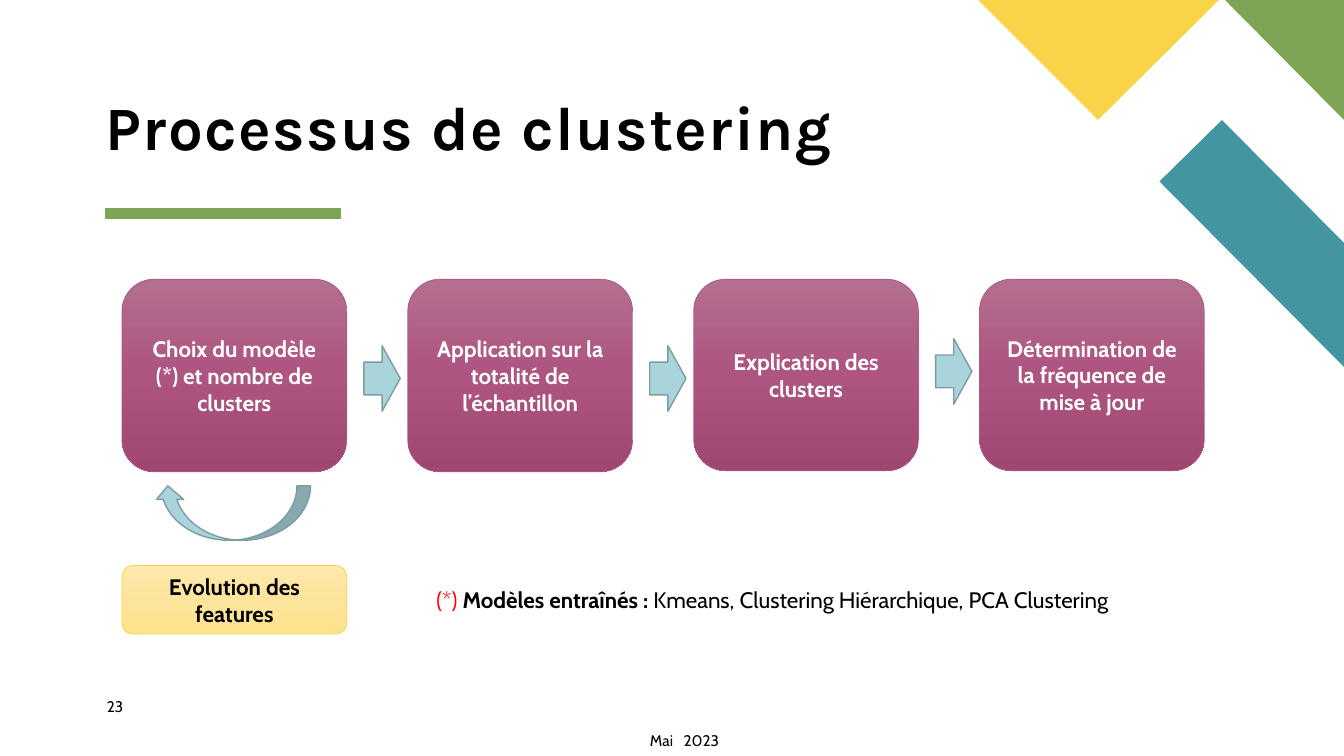
import copy

import pptx
import pptx.dml.color
import pptx.enum.shapes
import pptx.enum.text
import pptx.oxml
import pptx.oxml.ns
import pptx.util

Inches = pptx.util.Inches
Pt = pptx.util.Pt
Shapes = pptx.enum.shapes.MSO_SHAPE
Anchor = pptx.enum.text.MSO_ANCHOR
Align = pptx.enum.text.PP_ALIGN

PURPLE = {"stops": ["B36F8F", "AE5481", "9F4673"], "line": "AA5881", "text": "FFFFFF"}
YELLOW = {"stops": ["FEE9AC", "FDE49D", "FFE28B"], "line": "F9D448", "text": "000000"}
STEPS = [
    ("Choix du modèle (*) et nombre de clusters", 1.91),
    ("Application sur la totalité de l’échantillon", 1.91),
    ("Explication des clusters", 1.9),
    ("Détermination de la fréquence de mise à jour", 1.9),
]
ARROW_DROPS = [0.66, 0.66, 0.59]
STEP_WIDTH = 2.23
STEP_PITCH = 2.835
CORNER_SHAPES = [
    ("4495A2", [(13.33, 3.64), (13.33, 2.41), (12.12, 1.19), (11.5, 1.8)]),
    ("7CA655", [(13.33, 1.19), (13.33, 0), (12.15, 0)]),
    ("F9D448", [(9.7, 0), (10.89, 1.19), (12.09, 0)]),
]


def color(value):
    """Turn a hex string into a colour."""
    return pptx.dml.color.RGBColor.from_string(value)


def write_runs(shape, runs, frame_format, alignment=None, line_spacing=None):
    """Write one paragraph of (text, format) runs into a shape."""
    frame = shape.text_frame
    for name, value in {"word_wrap": True, **frame_format}.items():
        setattr(frame, name, value)
    paragraph = frame.paragraphs[0]
    paragraph.alignment = alignment
    paragraph.line_spacing = line_spacing
    for text, text_format in runs:
        run = paragraph.add_run()
        run.text = text
        settings = {"name": "Cabin", "size": Pt(16), "bold": False, **text_format}
        run.font.color.rgb = color(settings.pop("color", "000000"))
        spacing = settings.pop("spacing", None)
        if spacing:
            run.font._element.set("spc", str(int(spacing * 100)))
        for name, value in settings.items():
            setattr(run.font, name, value)


def add_text(slide, box, runs, frame_format, alignment=None, line_spacing=None):
    """Add a text box."""
    shape = slide.shapes.add_textbox(*map(Inches, box))
    write_runs(shape, runs, frame_format, alignment, line_spacing)


def add_plain_shape(slide, kind, box, line_color, line_width):
    """Add a preset shape with an outline and no shadow."""
    shape = slide.shapes.add_shape(kind, *map(Inches, box))
    shape.shadow.inherit = False
    shape.line.color.rgb = color(line_color)
    shape.line.width = Pt(line_width)
    return shape


def add_card(slide, box, text, palette):
    """Add a rounded card with a vertical gradient and centred text."""
    card = add_plain_shape(slide, Shapes.ROUNDED_RECTANGLE, box, palette["line"], 0.5)
    card.fill.gradient()
    card.fill.gradient_angle = 270
    stop_list = card._element.spPr.find(".//" + pptx.oxml.ns.qn("a:gsLst"))
    stop_list.insert(1, copy.deepcopy(stop_list[0]))
    for index, (stop, value) in enumerate(zip(card.fill.gradient_stops, palette["stops"])):
        stop.color.rgb = color(value)
        stop.position = index / 2
    runs = [(text, {"bold": True, "color": palette["text"]})]
    write_runs(card, runs, {"vertical_anchor": Anchor.MIDDLE}, Align.CENTER)


def add_arrow(slide, kind, box, rotation=0):
    """Add a pale blue block arrow."""
    arrow = add_plain_shape(slide, kind, box, "7D9DA2", 1)
    arrow.fill.solid()
    arrow.fill.fore_color.rgb = color("A9D4DB")
    arrow.rotation = rotation


def add_corner(slide):
    """Draw the coloured shapes in the top right corner."""
    for fill, points in CORNER_SHAPES:
        corners = [(Inches(x), Inches(y)) for x, y in points]
        builder = slide.shapes.build_freeform(*corners[0])
        builder.add_line_segments(corners[1:], close=True)
        shape = builder.convert_to_shape()
        shape.shadow.inherit = False
        shape.fill.solid()
        shape.fill.fore_color.rgb = color(fill)
        shape.line.fill.background()


def add_heading(slide, left, top):
    """Place the title and its green rule."""
    margins = dict.fromkeys(["margin_left", "margin_top", "margin_right", "margin_bottom"], 0)
    title_format = {"name": "Karla", "size": Pt(44), "bold": True, "spacing": 1}
    add_text(slide, (left, top, 7.4, 0.67), [("Processus de clustering", title_format)],
             {**margins, "vertical_anchor": Anchor.BOTTOM}, line_spacing=0.9)
    rule_top = Inches(top + 1.16)
    rule = slide.shapes.add_connector(pptx.enum.shapes.MSO_CONNECTOR.STRAIGHT,
                                      Inches(left - 0.01), rule_top, Inches(left + 2.33), rule_top)
    rule.line.color.rgb = color("7CA655")
    rule.line.width = Pt(8)
    rule._element.spPr.append(pptx.oxml.parse_xml(
        "<a:effectLst %s/>" % pptx.oxml.ns.nsdecls("a")))


def add_process(slide, left, top):
    """Place the row of steps and the arrows between them."""
    for index, (text, height) in enumerate(STEPS):
        add_card(slide, (left + index * STEP_PITCH, top, STEP_WIDTH, height), text, PURPLE)
    for index, drop in enumerate(ARROW_DROPS):
        add_arrow(slide, Shapes.RIGHT_ARROW,
                  (left + 2.4 + index * STEP_PITCH, top + drop, 0.36, 0.65))


def add_feedback(slide, left, top):
    """Place the return arrow, the features card and the list of models."""
    add_arrow(slide, Shapes.CURVED_DOWN_ARROW, (left + 0.32, top, 1.55, 0.54), 180)
    add_card(slide, (left, top + 0.79, STEP_WIDTH, 0.68), "Evolution des features", YELLOW)
    add_text(slide, (left + 3.02, top + 0.95, 7.03, 0.37), [
        ("(*) ", {"color": "FF0000"}),
        ("Modèles entraînés : ", {"bold": True}),
        ("Kmeans, Clustering Hiérarchique, PCA Clustering", {}),
    ], {})


def add_footer(slide, left, top):
    """Place the slide number and the date."""
    small = {"size": Pt(11)}
    add_text(slide, (left, top, 0.57, 0.27), [("23", small)],
             {"margin_left": 0, "margin_top": 0, "margin_right": 0, "margin_bottom": 0})
    add_text(slide, (left + 5.01, top + 0.28, 1.44, 0.25),
             [("Mai", small), (" ", {**small, "spacing": 5}), ("2023", small)],
             {}, Align.CENTER)


def main():
    """Build and save the slide."""
    presentation = pptx.Presentation()
    presentation.slide_width = Inches(13.33)
    presentation.slide_height = Inches(7.5)
    slide = presentation.slides.add_slide(presentation.slide_layouts[6])
    add_corner(slide)
    add_heading(slide, 1.05, 0.96)
    add_process(slide, 1.21, 2.77)
    add_feedback(slide, 1.21, 4.82)
    add_footer(slide, 1.06, 6.92)
    presentation.save("out.pptx")


if __name__ == "__main__":
    main()
